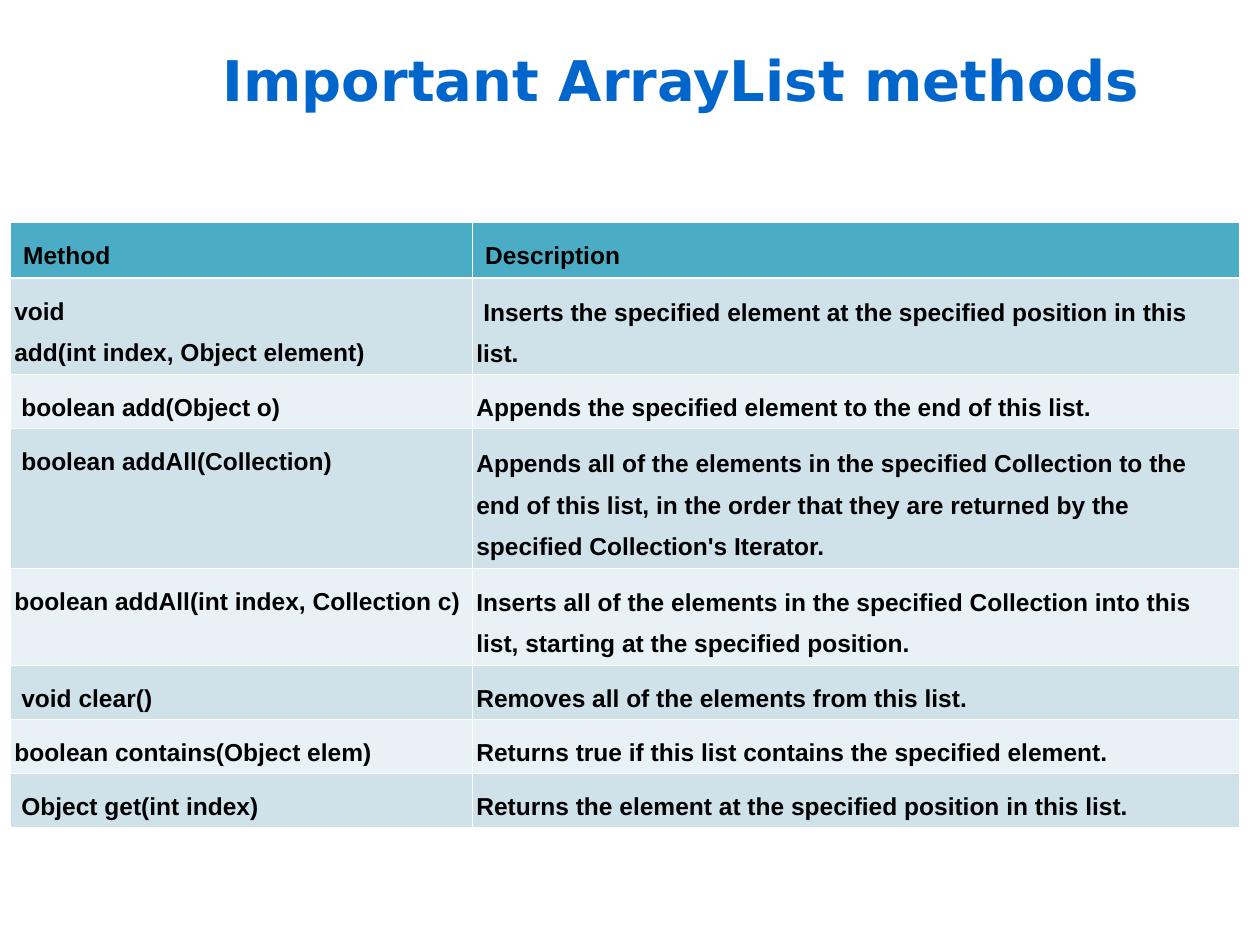
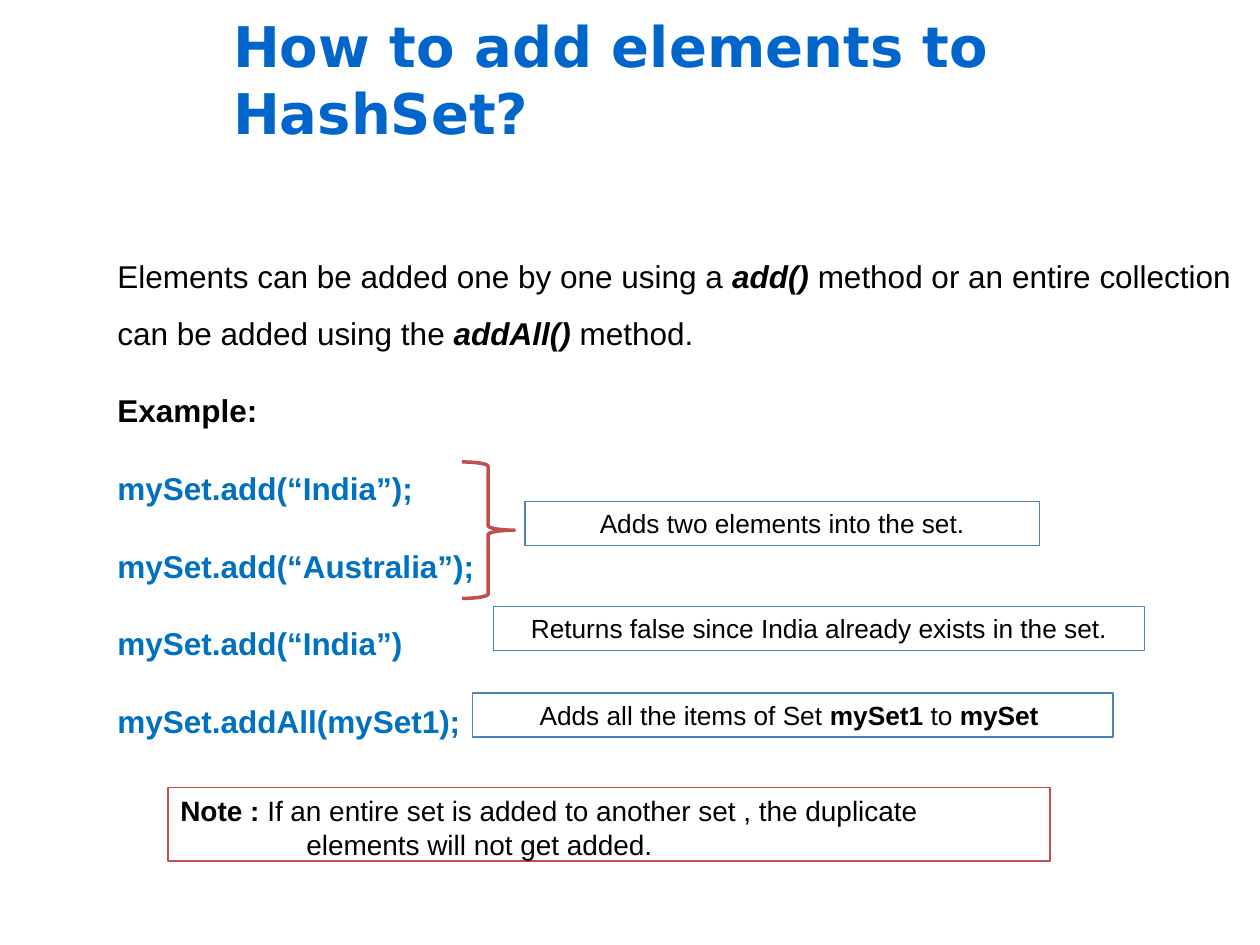
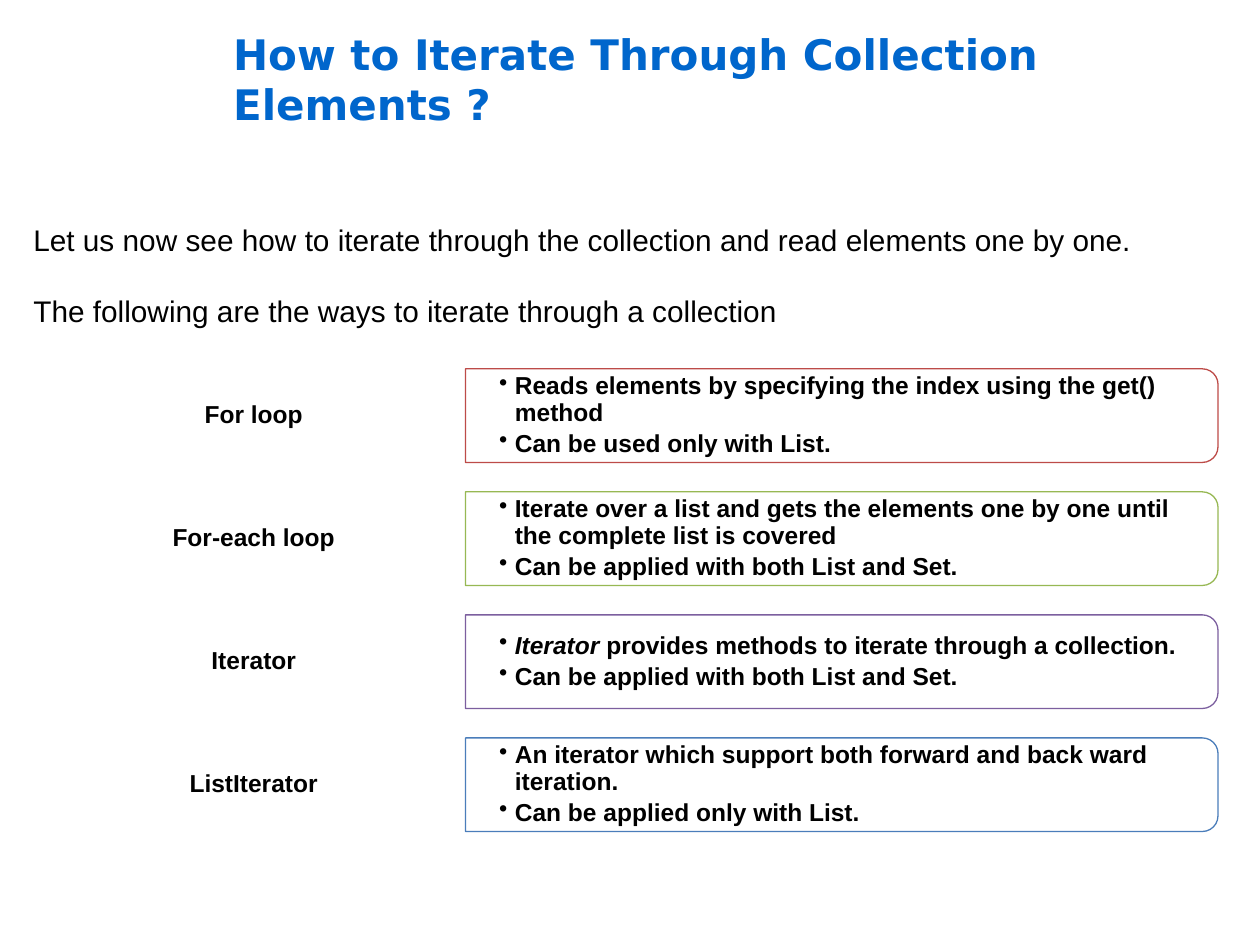
from collections import namedtuple

from lxml import etree
from pptx import Presentation
from pptx.dml.color import RGBColor
from pptx.enum import shapes, text
from pptx.oxml import ns
from pptx.util import Pt

TITLE_BLUE = RGBColor(0x00, 0x66, 0xCC)
CODE_BLUE = RGBColor(0x00, 0x70, 0xC0)
BLACK = RGBColor(0x00, 0x00, 0x00)
WHITE = RGBColor(0xFF, 0xFF, 0xFF)
HEADER_TEAL = RGBColor(0x4B, 0xAC, 0xC6)
BANDS = (RGBColor(0xE8, 0xF1, 0xF5), RGBColor(0xCF, 0xE2, 0xEA))
CALLOUT_BLUE = RGBColor(0x4F, 0x81, 0xBD)
NOTE_RED = RGBColor(0xC0, 0x50, 0x4D)
LOOP_RED = RGBColor(0xBD, 0x4B, 0x48)
LOOP_GREEN = RGBColor(0x97, 0xB8, 0x53)
LOOP_PURPLE = RGBColor(0x7C, 0x5F, 0x9F)
LOOP_BLUE = RGBColor(0x4A, 0x7D, 0xBA)

TITLE_FONT, BODY_FONT = "DejaVu Sans", "Arial"
Box = namedtuple("Box", "left top width height")

METHODS = [
    ("Method", "Description"),
    ("void\nadd(int index, Object element)",
     "Inserts the specified element at the specified position in this list."),
    ("boolean add(Object o)", "Appends the specified element to the end of this list."),
    ("boolean addAll(Collection)",
     "Appends all of the elements in the specified Collection to the end of this list, "
     "in the order that they are returned by the specified Collection's Iterator."),
    ("boolean addAll(int index, Collection c)",
     "Inserts all of the elements in the specified Collection into this list, "
     "starting at the specified position."),
    ("void clear()", "Removes all of the elements from this list."),
    ("boolean contains(Object elem)",
     "Returns true if this list contains the specified element."),
    ("Object get(int index)",
     "Returns the element at the specified position in this list."),
]
METHOD_ROW_HEIGHTS = (32, 55, 31, 80, 55, 31, 31, 31)
METHOD_COLUMN_WIDTHS = (264, 438)
INDENTED_CELLS = {(1, 1), (2, 0), (3, 0), (5, 0), (7, 0)}

INTRO = [("Elements can be added one by one using a ", ""), ("add() ", "bi"),
         ("method or an entire collection can be added using the ", ""),
         ("addAll() ", "bi"), ("method.", "")]
CODE_LINES = ("mySet.add(“India”);", "mySet.add(“Australia”);",
              "mySet.add(“India”)", "mySet.addAll(mySet1);")
CALLOUTS = [
    (Box(300, 286.5, 294, 25.2), [("Adds two elements into the set.", "")]),
    (Box(282, 346.5, 372, 25.2),
     [("Returns false since India already exists in the set.", "")]),
    (Box(270, 396, 366, 25.2),
     [("Adds all the items of Set ", ""), ("mySet1", "b"), (" to ", ""), ("mySet ", "b")]),
]
NOTE = [("Note : ", "b"),
        ("If an entire set is added to another set , the duplicate "
         "elements will not get added.", "")]

ITERATION_INTRO = (
    "Let us now see how to iterate through the collection and read elements one by one.",
    "The following are the ways to iterate through a collection")
BOTH = [("Can be applied with both List and Set.", "b")]
ITERATION_WAYS = [
    ("For loop", LOOP_RED,
     [[("Reads elements by specifying the index using the get() method", "b")],
      [("Can be used only with List.", "b")]]),
    ("For-each loop", LOOP_GREEN,
     [[("Iterate over a list and gets the elements one by one until "
        "the complete list is covered", "b")], BOTH]),
    ("Iterator", LOOP_PURPLE,
     [[("Iterator", "bi"), (" provides methods to iterate through a collection.", "b")],
      BOTH]),
    ("ListIterator", LOOP_BLUE,
     [[("An iterator which support both forward and back ward iteration.", "b")],
      [("Can be applied only with List.", "b")]]),
]


def in_points(box):
    """Give the four lengths of a box as point lengths."""
    return [Pt(length) for length in box]


def write(paragraph, runs, size, color=BLACK, font=BODY_FONT):
    """Add styled runs, each a text with the flags b and i."""
    for words, flags in runs:
        run = paragraph.add_run()
        run.text = words
        run.font.name, run.font.size = font, Pt(size)
        run.font.bold, run.font.italic = "b" in flags, "i" in flags
        run.font.color.rgb = color


def indent(paragraph, margin, first_line):
    """Set the left margin and first-line indent."""
    properties = paragraph._p.get_or_add_pPr()
    properties.set("marL", str(Pt(margin)))
    properties.set("indent", str(Pt(first_line)))


def paragraphs(frame, count):
    """Yield the first paragraph of a frame and the added ones."""
    for number in range(count):
        yield frame.add_paragraph() if number else frame.paragraphs[0]


def add_text_frame(slide, box):
    """Add a wrapping text box and return its frame."""
    frame = slide.shapes.add_textbox(*in_points(box)).text_frame
    frame.word_wrap = True
    return frame


def add_outline(slide, preset, box, line=None, width=0.75, fill=WHITE):
    """Add a shape without shadow, with optional line and fill."""
    outline = slide.shapes.add_shape(preset, *in_points(box))
    outline.shadow.inherit = False
    if fill is None:
        outline.fill.background()
    else:
        outline.fill.solid()
        outline.fill.fore_color.rgb = fill
    if line is None:
        outline.line.fill.background()
    else:
        outline.line.color.rgb = line
        outline.line.width = Pt(width)
    return outline


def add_titled_slide(deck, heading, left=126, size=32):
    """Add a title-only slide with the shared title style."""
    slide = deck.slides.add_slide(deck.slide_layouts[5])
    title = slide.shapes.title
    title.left, title.top, title.width, title.height = in_points((left, 0, 594, 90))
    frame = title.text_frame
    frame.auto_size = text.MSO_AUTO_SIZE.NONE
    frame.vertical_anchor = text.MSO_ANCHOR.MIDDLE
    frame.paragraphs[0].alignment = text.PP_ALIGN.LEFT
    write(frame.paragraphs[0], [(heading, "b")], size, TITLE_BLUE, TITLE_FONT)
    return slide


def add_borders(cell, widths):
    """Draw white borders in the order left, right, top, bottom."""
    properties = cell._tc.get_or_add_tcPr()
    for side, width in zip("LRTB", widths):
        border = etree.SubElement(properties, ns.qn(f"a:ln{side}"), w=str(Pt(width)))
        paint = etree.SubElement(border, ns.qn("a:solidFill"))
        etree.SubElement(paint, ns.qn("a:srgbClr"), val=str(WHITE))


def fill_method_cell(cell, row, column, words):
    """Format and write one cell of the method table."""
    header = row == 0
    add_borders(cell, (0.45, 0.45, 1.47 if row == 1 else 0.45, 1.47 if header else 0.45))
    cell.fill.solid()
    cell.fill.fore_color.rgb = HEADER_TEAL if header else BANDS[row % 2]
    cell.margin_left = cell.margin_right = Pt(7.2 if header else 2.2)
    cell.margin_top = cell.margin_bottom = Pt(3.6)
    centred = column == 1 and not header
    cell.vertical_anchor = text.MSO_ANCHOR.MIDDLE if centred else text.MSO_ANCHOR.TOP
    lines = words.split("\n")
    for paragraph, line in zip(paragraphs(cell.text_frame, len(lines)), lines):
        paragraph.line_spacing = 1.5
        indent(paragraph, 0, 4 if (row, column) in INDENTED_CELLS else 0)
        write(paragraph, [(line, "b")], 14)


def add_method_table(slide, box):
    """Add the table of methods and descriptions."""
    table = slide.shapes.add_table(len(METHODS), 2, *in_points(box)).table
    table.horz_banding = False
    for column, width in zip(table.columns, METHOD_COLUMN_WIDTHS):
        column.width = Pt(width)
    for row, height in zip(table.rows, METHOD_ROW_HEIGHTS):
        row.height = Pt(height)
    for row, entry in enumerate(METHODS):
        for column, words in enumerate(entry):
            fill_method_cell(table.cell(row, column), row, column, words)


def add_hashset_example(slide, box):
    """Write the introduction and the code example."""
    entries = [(INTRO, BLACK), ([("Example:", "b")], BLACK)]
    entries += [([(line, "b")], CODE_BLUE) for line in CODE_LINES]
    frame = add_text_frame(slide, box)
    for number, paragraph in enumerate(paragraphs(frame, len(entries))):
        indent(paragraph, 54, 0)
        paragraph.line_spacing = 1.5
        if number:
            paragraph.space_before = Pt(12)
        runs, color = entries[number]
        write(paragraph, runs, 18, color)


def add_remark(slide, box, runs, line, size, centred=True):
    """Add a framed remark, centred or with a hanging indent."""
    frame = add_outline(slide, shapes.MSO_SHAPE.RECTANGLE, box, line).text_frame
    frame.word_wrap = True
    frame.vertical_anchor = text.MSO_ANCHOR.TOP
    paragraph = frame.paragraphs[0]
    if centred:
        paragraph.alignment = text.PP_ALIGN.CENTER
    else:
        paragraph.alignment = text.PP_ALIGN.LEFT
        indent(paragraph, 72, -72)
    write(paragraph, runs, size)


def add_iteration_intro(slide, box):
    """Write the two introductory sentences."""
    frame = add_text_frame(slide, box)
    for number, paragraph in enumerate(paragraphs(frame, len(ITERATION_INTRO))):
        if number:
            paragraph.space_before = Pt(20.5)
        write(paragraph, [(ITERATION_INTRO[number], "")], 17)


def add_iteration_way(slide, box, name, color, points):
    """Add a name with its outlined list of points."""
    name_width, panel_height = 242, 53.5
    label = add_outline(slide, shapes.MSO_SHAPE.ROUNDED_RECTANGLE,
                        box._replace(width=name_width))
    label.text_frame.word_wrap = True
    label.text_frame.vertical_anchor = text.MSO_ANCHOR.MIDDLE
    caption = label.text_frame.paragraphs[0]
    caption.alignment = text.PP_ALIGN.CENTER
    caption.line_spacing = 0.9
    write(caption, [(name, "b")], 14)

    panel = Box(box.left + name_width, box.top + (box.height - panel_height) / 2,
                box.width - name_width, panel_height)
    shift = (panel.width - panel.height) / 2
    upright = Box(panel.left + shift, panel.top - shift, panel.height, panel.width)
    outline = add_outline(slide, shapes.MSO_SHAPE.ROUND_2_SAME_RECTANGLE, upright, color)
    outline.rotation = 90

    frame = add_text_frame(slide, panel._replace(width=panel.width - 2.5))
    frame.vertical_anchor = text.MSO_ANCHOR.MIDDLE
    frame.margin_left = frame.margin_right = Pt(19.2)
    frame.margin_top = frame.margin_bottom = Pt(9.6)
    for paragraph, runs in zip(paragraphs(frame, len(points)), points):
        indent(paragraph, 9, -9)
        bullet = etree.SubElement(paragraph._p.get_or_add_pPr(), ns.qn("a:buChar"))
        bullet.set("char", "•")
        paragraph.line_spacing = 0.9
        paragraph.space_after = Pt(2.6)
        write(paragraph, runs, 14)


def build_methods_slide(deck):
    """Build the slide on list methods."""
    slide = add_titled_slide(deck, "Important ArrayList methods", left=120)
    add_method_table(slide, Box(6, 127, 702, 346))


def build_hashset_slide(deck):
    """Build the slide on adding elements to a set."""
    slide = add_titled_slide(deck, "How to add elements to HashSet?")
    add_hashset_example(slide, Box(6, 132.5, 708, 338))
    add_outline(slide, shapes.MSO_SHAPE.RIGHT_BRACE, Box(264, 264, 30, 78),
                NOTE_RED, 2, fill=None)
    for box, runs in CALLOUTS:
        add_remark(slide, box, runs, CALLOUT_BLUE, 15)
    add_remark(slide, Box(96, 450, 504, 42), NOTE, NOTE_RED, 16, centred=False)


def build_iteration_slide(deck):
    """Build the slide on ways to iterate."""
    slide = add_titled_slide(deck, "How to Iterate Through Collection Elements ?", size=24)
    add_iteration_intro(slide, Box(12, 123, 678, 68.5))
    first, pitch = Box(24, 204, 672, 67), 70.3
    for number, way in enumerate(ITERATION_WAYS):
        add_iteration_way(slide, first._replace(top=first.top + number * pitch), *way)


def main():
    """Build and save the presentation."""
    deck = Presentation()
    deck.slide_width, deck.slide_height = Pt(720), Pt(540)
    build_methods_slide(deck)
    build_hashset_slide(deck)
    build_iteration_slide(deck)
    deck.save("out.pptx")


if __name__ == "__main__":
    main()
